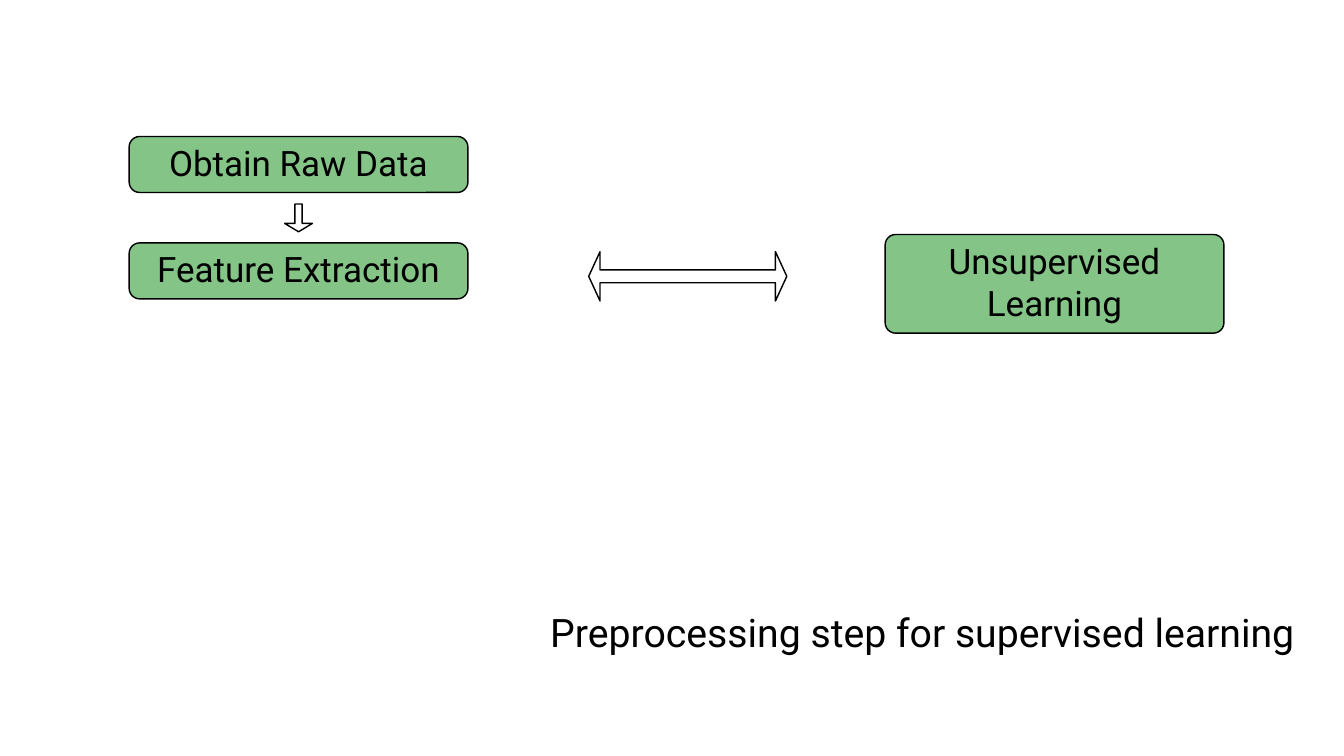
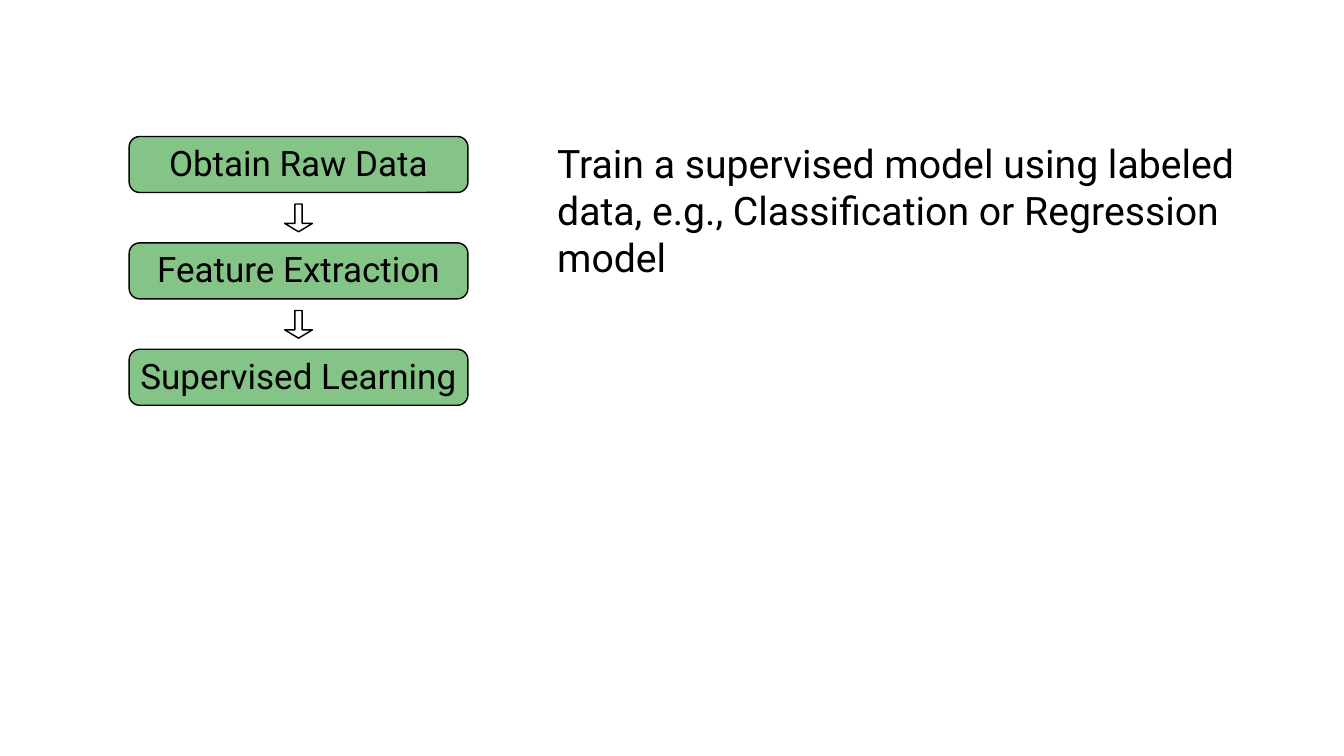
import pptx
import pptx.util
import pptx.dml.color
import pptx.enum.shapes
import pptx.enum.text
from dataclasses import dataclass

Pt = pptx.util.Pt
RGB = pptx.dml.color.RGBColor
SHAPE = pptx.enum.shapes.MSO_SHAPE
ALIGN = pptx.enum.text.PP_ALIGN
ANCHOR = pptx.enum.text.MSO_ANCHOR


@dataclass(frozen=True)
class Theme:
    font: str = "Roboto"
    ink: RGB = RGB(0x00, 0x00, 0x00)
    step_fill: RGB = RGB(0x84, 0xC4, 0x87)
    step_size: int = 50
    body_size: int = 56
    line_width: int = 2


theme = Theme()


def add_outline(s, kind, box, adjustments, fill=None):
    sp = s.shapes.add_shape(kind, *[Pt(v) for v in box])
    sp.shadow.inherit = False
    for i, value in enumerate(adjustments):
        sp.adjustments[i] = value
    if fill is None:
        sp.fill.background()
    else:
        sp.fill.solid()
        sp.fill.fore_color.rgb = fill
    sp.line.color.rgb = theme.ink
    sp.line.width = Pt(theme.line_width)
    return sp


def set_text(sp, text, size, align, anchor, insets):
    tf = sp.text_frame
    tf.word_wrap = True
    tf.vertical_anchor = anchor
    tf.margin_left, tf.margin_top, tf.margin_right, tf.margin_bottom = [Pt(v) for v in insets]
    tf.text = text
    p = tf.paragraphs[0]
    p.alignment = align
    r = p.runs[0]
    r.font.name = theme.font
    r.font.size = Pt(size)
    r.font.color.rgb = theme.ink


prs = pptx.Presentation()
prs.slide_width = Pt(1920)
prs.slide_height = Pt(1080)

STEP_LEFT, STEP_TOP, STEP_WIDTH, STEP_HEIGHT = 184.5, 195, 484, 80
STEP_PITCH = 152
CORNER = 15
STEP_INSETS = (8, 0, 8, 6)
ARROW_SIZE, ARROW_RISE = 39.6, 55.5

slides = [
    {
        "steps": ["Obtain Raw Data", "Feature Extraction"],
        "body": "Preprocessing step for supervised learning",
        "body_box": (780, 863, 1098, 178.5),
        "exchange": "Unsupervised Learning",
    },
    {
        "steps": ["Obtain Raw Data", "Feature Extraction", "Supervised Learning"],
        "body": "Train a supervised model using labeled data, e.g., Classification or Regression model",
        "body_box": (790, 193, 1111, 682.5),
        "exchange": None,
    },
]

for content in slides:
    s = prs.slides.add_slide(prs.slide_layouts[6])

    boxes = [
        (text, (STEP_LEFT, STEP_TOP + i * STEP_PITCH, STEP_WIDTH, STEP_HEIGHT))
        for i, text in enumerate(content["steps"])
    ]
    if content["exchange"]:
        boxes.append((content["exchange"], (1264.5, 335, STEP_WIDTH, 141)))
        add_outline(s, SHAPE.LEFT_RIGHT_ARROW, (841, 359.5, 283, 70.5), (0.26, 0.23))

    for text, box in boxes:
        sp = add_outline(s, SHAPE.ROUNDED_RECTANGLE, box, [CORNER / box[3]], theme.step_fill)
        set_text(sp, text, theme.step_size, ALIGN.CENTER, ANCHOR.MIDDLE, STEP_INSETS)

    for i in range(1, len(content["steps"])):
        left = STEP_LEFT + (STEP_WIDTH - ARROW_SIZE) / 2
        top = STEP_TOP + i * STEP_PITCH - ARROW_RISE
        sp = add_outline(s, SHAPE.RIGHT_ARROW, (left, top, ARROW_SIZE, ARROW_SIZE), (0.26, 0.3))
        sp.rotation = 90

    sp = s.shapes.add_textbox(*[Pt(v) for v in content["body_box"]])
    set_text(sp, content["body"], theme.body_size, ALIGN.LEFT, ANCHOR.TOP, (6, 6, 6, 6))

prs.save("out.pptx")
